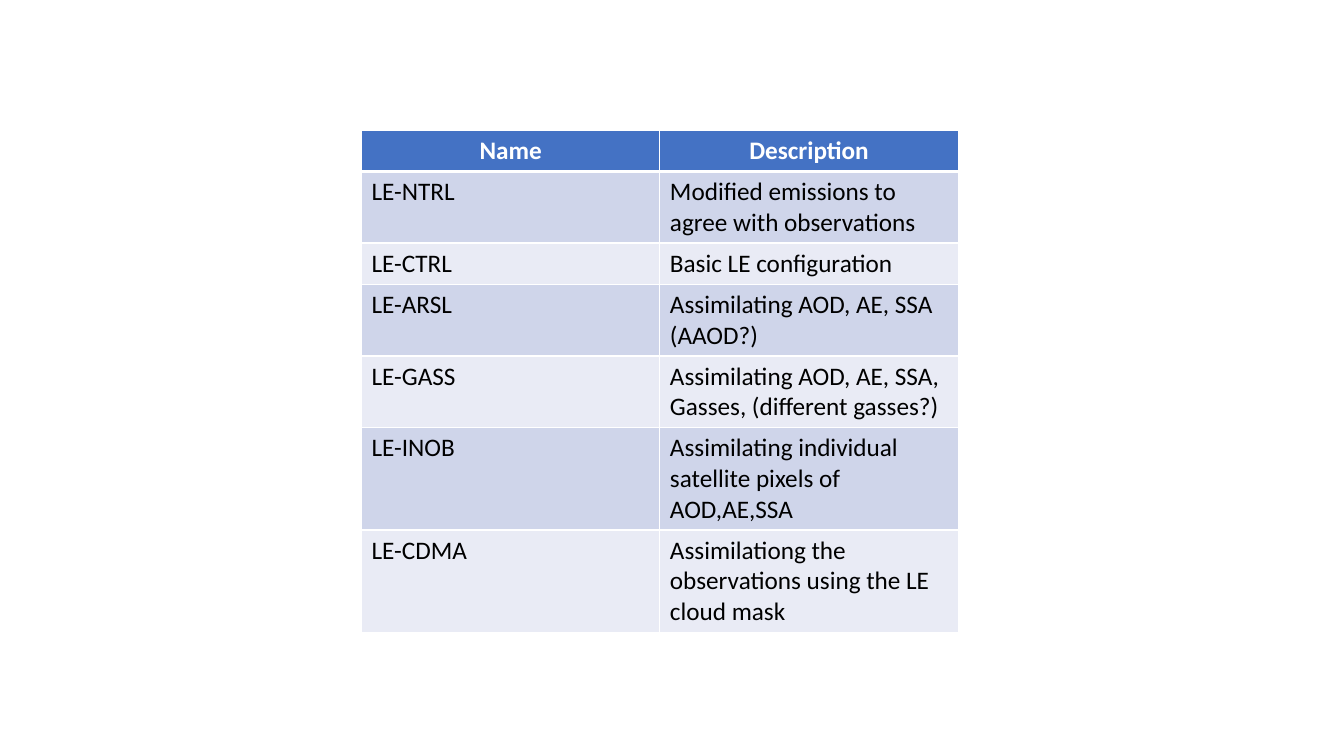
"""Build a slide with a table of model run names and descriptions."""
from dataclasses import dataclass

from lxml import etree
from pptx import Presentation
from pptx.dml.color import RGBColor
from pptx.enum.text import PP_ALIGN
from pptx.oxml.ns import qn
from pptx.util import Inches, Pt

CENTER, LEFT = PP_ALIGN.CENTER, PP_ALIGN.LEFT
BLANK_LAYOUT = 6
SLIDE_WIDTH, SLIDE_HEIGHT = Inches(13.33), Inches(7.5)
COLORS = {
    "header": "4472C4",
    "odd": "CFD5EA",
    "even": "E9EBF5",
    "border": "FFFFFF",
    "header_text": "FFFFFF",
    "text": "000000",
}
TABLE_LEFT, COLUMN_WIDTH = 26.9, 22.2
TABLE_TOP, ROW_HEIGHT = 17.2, 5.47
THIN, THICK = 1, 3


@dataclass(frozen=True)
class Run:
    name: str
    description: str


HEADER = Run("Name", "Description")
RUNS = [
    Run("LE-NTRL", "Modified emissions to agree with observations"),
    Run("LE-CTRL", "Basic LE configuration"),
    Run("LE-ARSL", "Assimilating AOD, AE, SSA (AAOD?)"),
    Run("LE-GASS", "Assimilating AOD, AE, SSA, Gasses, (different gasses?)"),
    Run("LE-INOB", "Assimilating individual satellite pixels of AOD,AE,SSA"),
    Run("LE-CDMA", "Assimilationg the observations using the LE cloud mask"),
]


def across(percent: float) -> int:
    return int(SLIDE_WIDTH * percent / 100)


def down(percent: float) -> int:
    return int(SLIDE_HEIGHT * percent / 100)


def add_borders(cell, top: int, bottom: int) -> None:
    properties = cell._tc.get_or_add_tcPr()
    widths = {"a:lnL": THIN, "a:lnR": THIN, "a:lnT": top, "a:lnB": bottom}
    for tag, width in widths.items():
        line = etree.SubElement(properties, qn(tag), w=str(Pt(width)))
        fill = etree.SubElement(line, qn("a:solidFill"))
        etree.SubElement(fill, qn("a:srgbClr"), val=COLORS["border"])


def format_cell(cell, text: str, row: int) -> None:
    is_header = row == 0
    add_borders(cell, THICK if row == 1 else THIN, THICK if is_header else THIN)
    fill_name = "header" if is_header else "odd" if row % 2 else "even"
    cell.fill.solid()
    cell.fill.fore_color.rgb = RGBColor.from_string(COLORS[fill_name])
    cell.text = text
    paragraph = cell.text_frame.paragraphs[0]
    paragraph.alignment = CENTER if is_header else LEFT
    font = paragraph.font
    font.name, font.size, font.bold = "Calibri", Pt(18), is_header
    text_color = COLORS["header_text" if is_header else "text"]
    font.color.rgb = RGBColor.from_string(text_color)


def add_run_table(slide, runs: list[Run]) -> None:
    table = slide.shapes.add_table(
        len(runs), 2, across(TABLE_LEFT), down(TABLE_TOP),
        across(2 * COLUMN_WIDTH), down(len(runs) * ROW_HEIGHT),
    ).table
    for row, run in enumerate(runs):
        for column, text in enumerate((run.name, run.description)):
            format_cell(table.cell(row, column), text, row)


def main() -> None:
    presentation = Presentation()
    presentation.slide_width = SLIDE_WIDTH
    presentation.slide_height = SLIDE_HEIGHT
    slide = presentation.slides.add_slide(presentation.slide_layouts[BLANK_LAYOUT])
    add_run_table(slide, [HEADER, *RUNS])
    presentation.save("out.pptx")


if __name__ == "__main__":
    main()
